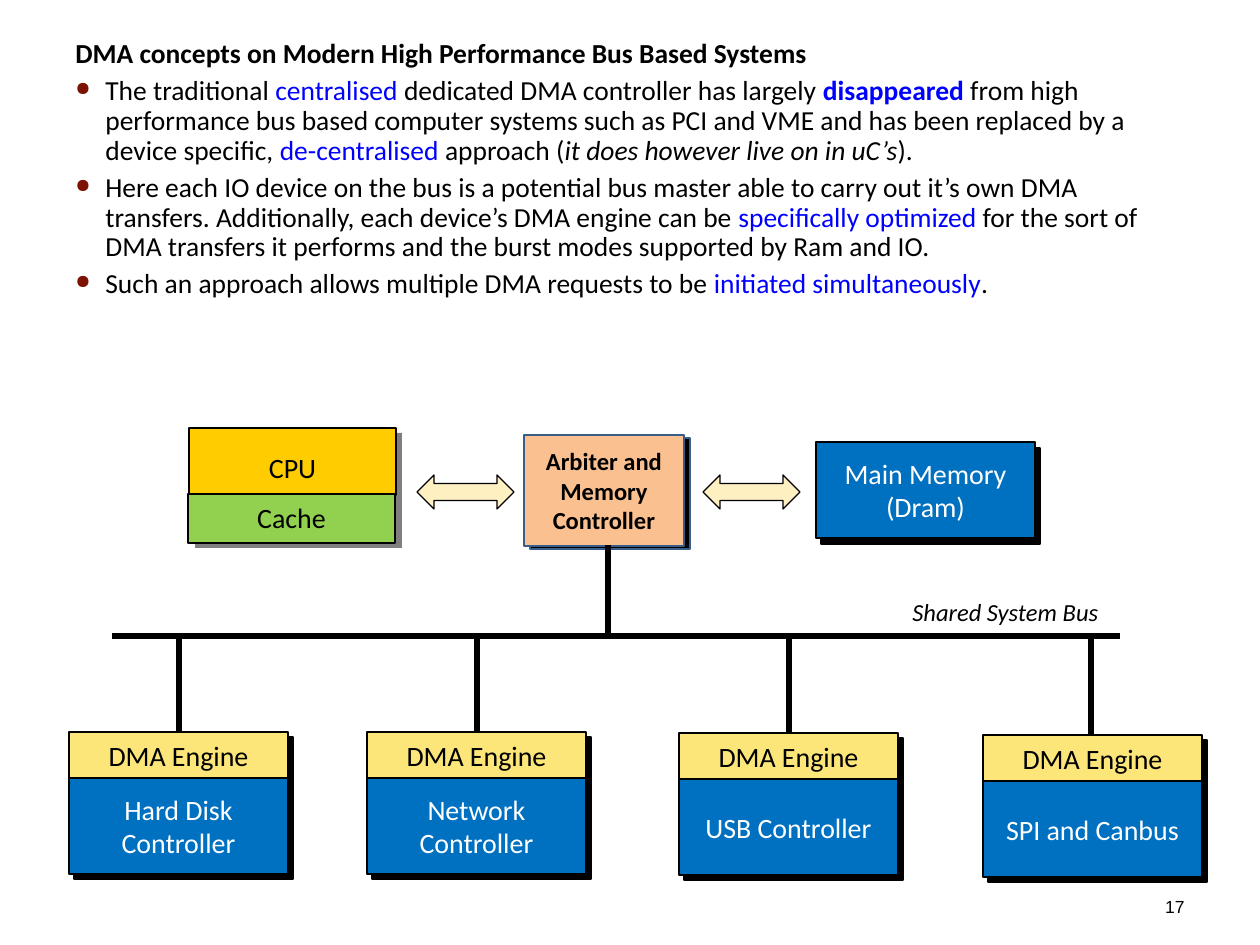
import pptx
import pptx.util
import pptx.dml.color
import pptx.enum.shapes
import pptx.enum.text
import pptx.oxml
import pptx.oxml.ns
import lxml.etree

RGB = pptx.dml.color.RGBColor
SHAPE = pptx.enum.shapes.MSO_SHAPE
ALIGN = pptx.enum.text.PP_ALIGN
ANCHOR = pptx.enum.text.MSO_ANCHOR
BLACK = RGB(0x00, 0x00, 0x00)
WHITE = RGB(0xFF, 0xFF, 0xFF)
GREY = RGB(0x7F, 0x7F, 0x7F)
BLUE = RGB(0x00, 0x70, 0xC0)
KEYWORD = RGB(0x00, 0x00, 0xFF)
GOLD = RGB(0xFF, 0xCC, 0x00)
GREEN = RGB(0x92, 0xD0, 0x50)
PEACH = RGB(0xFA, 0xC0, 0x90)
SLATE = RGB(0x38, 0x5D, 0x8A)
YELLOW = RGB(0xFC, 0xE6, 0x7A)
CREAM = RGB(0xFF, 0xF0, 0xC2)
MAROON = RGB(0x7C, 0x13, 0x02)

KEY = {"color": KEYWORD}
TITLE = "DMA concepts on Modern High Performance Bus Based Systems"
BULLETS = [
    [("The traditional ", {}), ("centralised", KEY),
     (" dedicated DMA controller has largely ", {}),
     ("disappeared ", {"color": KEYWORD, "bold": True}),
     ("from high performance bus based computer systems such as PCI and VME "
      "and has been replaced by a device specific, ", {}),
     ("de-centralised", KEY), (" approach (", {}),
     ("it does however live on in uC’s", {"italic": True}), (").", {})],
    [("Here each IO device on the bus is a potential bus master able to carry "
      "out it’s own DMA transfers. Additionally, each device’s DMA engine can be ", {}),
     ("specifically optimized", KEY),
     (" for the sort of DMA transfers it performs and the burst modes "
      "supported by Ram and IO.", {})],
    [("Such an approach allows multiple DMA requests to be ", {}),
     ("initiated simultaneously", KEY), (".", {})],
]
DEVICES = [
    ("Hard Disk Controller", 69, 732, 179),
    ("Network Controller", 367, 732, 477),
    ("USB Controller", 679, 733, 789),
    ("SPI and Canbus", 983, 735, 1091),
]


class Deck:
    """Hold the slide style and draw each kind of element in px."""

    SCALE = 914400 / 126
    FONT = {"name": "Calibri", "size": 16, "color": BLACK}

    def __init__(self, width, height):
        self.prs = pptx.Presentation()
        self.prs.slide_width, self.prs.slide_height = self.emu(width, height)
        self.s = self.prs.slides.add_slide(self.prs.slide_layouts[6])

    def emu(self, *lengths):
        return [pptx.util.Emu(round(n * self.SCALE)) for n in lengths]

    def run(self, p, text, **font):
        r = p.add_run()
        r.text = text
        for key, value in {**self.FONT, **font}.items():
            if key == "color":
                r.font.color.rgb = value
            elif key == "size":
                r.font.size = pptx.util.Pt(value)
            else:
                setattr(r.font, key, value)

    def text(self, x, y, w, h, text, align=ALIGN.LEFT, wrap=True, **font):
        tf = self.s.shapes.add_textbox(*self.emu(x, y, w, h)).text_frame
        tf.word_wrap = wrap
        tf.paragraphs[0].alignment = align
        self.run(tf.paragraphs[0], text, **font)
        return tf

    def bullet(self, tf, runs, size):
        p = tf.add_paragraph()
        pPr = p._p.get_or_add_pPr()
        indent = self.emu(30)[0]
        pPr.set("marL", str(indent))
        pPr.set("indent", str(-indent))
        ns = pptx.oxml.ns.qn
        clr = lxml.etree.SubElement(pPr, ns("a:buClr"))
        lxml.etree.SubElement(clr, ns("a:srgbClr")).set("val", str(MAROON))
        lxml.etree.SubElement(pPr, ns("a:buSzPct")).set("val", "70000")
        lxml.etree.SubElement(pPr, ns("a:buChar")).set("char", "●")
        p.line_spacing = 0.9
        p.space_before = pptx.util.Pt(4.2)
        for text, font in runs:
            self.run(p, text, size=size, **font)

    def shape(self, x, y, w, h, fill, text="", kind=SHAPE.RECTANGLE, line=BLACK,
              width=1, anchor=ANCHOR.MIDDLE, spacing=1.0, **font):
        sp = self.s.shapes.add_shape(kind, *self.emu(x, y, w, h))
        sp.shadow.inherit = False
        sp.fill.solid()
        sp.fill.fore_color.rgb = fill
        if line is None:
            sp.line.fill.background()
        else:
            sp.line.color.rgb = line
            sp.line.width = pptx.util.Pt(width)
        if text:
            tf = sp.text_frame
            tf.word_wrap = True
            tf.vertical_anchor = anchor
            p = tf.paragraphs[0]
            p.alignment = ALIGN.CENTER
            p.line_spacing = spacing
            self.run(p, text, **font)

    def line(self, x1, y1, x2, y2):
        sp = self.s.shapes.add_connector(
            pptx.enum.shapes.MSO_CONNECTOR.STRAIGHT, *self.emu(x1, y1, x2, y2))
        sp.line.color.rgb = BLACK
        sp.line.width = pptx.util.Pt(3)
        lxml.etree.SubElement(sp._element.spPr, pptx.oxml.ns.qn("a:effectLst"))

    def device(self, name, x, y):
        self.shape(x + 5, y + 5, 219, 142, BLACK)
        self.shape(x, y + 46, 219, 96, BLUE, name, color=WHITE)
        self.shape(x, y, 219, 46, YELLOW, "DMA Engine", width=0.75, anchor=ANCHOR.TOP)


def main():
    deck = Deck(1260, 945)
    tf = deck.text(63, 34, 1134, 305, TITLE, size=15.7, bold=True)
    tf.paragraphs[0].line_spacing = 0.9
    for runs in BULLETS:
        deck.bullet(tf, runs, 15.7)
    deck.text(1018, 890, 179, 45, "17", ALIGN.RIGHT, name="Arial", size=10)

    deck.shape(195, 433, 207, 115, GREY, line=None)
    deck.shape(189, 428, 207, 67, GOLD, "CPU", width=0.75, anchor=ANCHOR.TOP, spacing=1.5)
    deck.shape(188, 494, 207, 49, GREEN, "Cache", width=0.75, anchor=ANCHOR.TOP)
    deck.shape(530, 438, 160, 111, BLACK, line=SLATE)
    deck.shape(524, 435, 160, 111, PEACH, "Arbiter and Memory Controller",
               line=SLATE, size=14, bold=True)
    deck.shape(821, 448, 219, 96, BLACK)
    deck.shape(816, 442, 219, 96, BLUE, "Main Memory (Dram)", color=WHITE)
    for x in (417, 703):
        deck.shape(x, 475, 97, 34, CREAM, kind=SHAPE.LEFT_RIGHT_ARROW, width=0.75)

    bus = 636
    deck.text(900, 591, 212, 43, "Shared System Bus", wrap=False, size=14, italic=True)
    deck.line(112, bus, 1120, bus)
    deck.line(608, 545, 608, bus + 3)
    for name, x, y, tap in DEVICES:
        deck.line(tap, bus, tap, y)
        deck.device(name, x, y)
    deck.prs.save("out.pptx")


if __name__ == "__main__":
    main()
